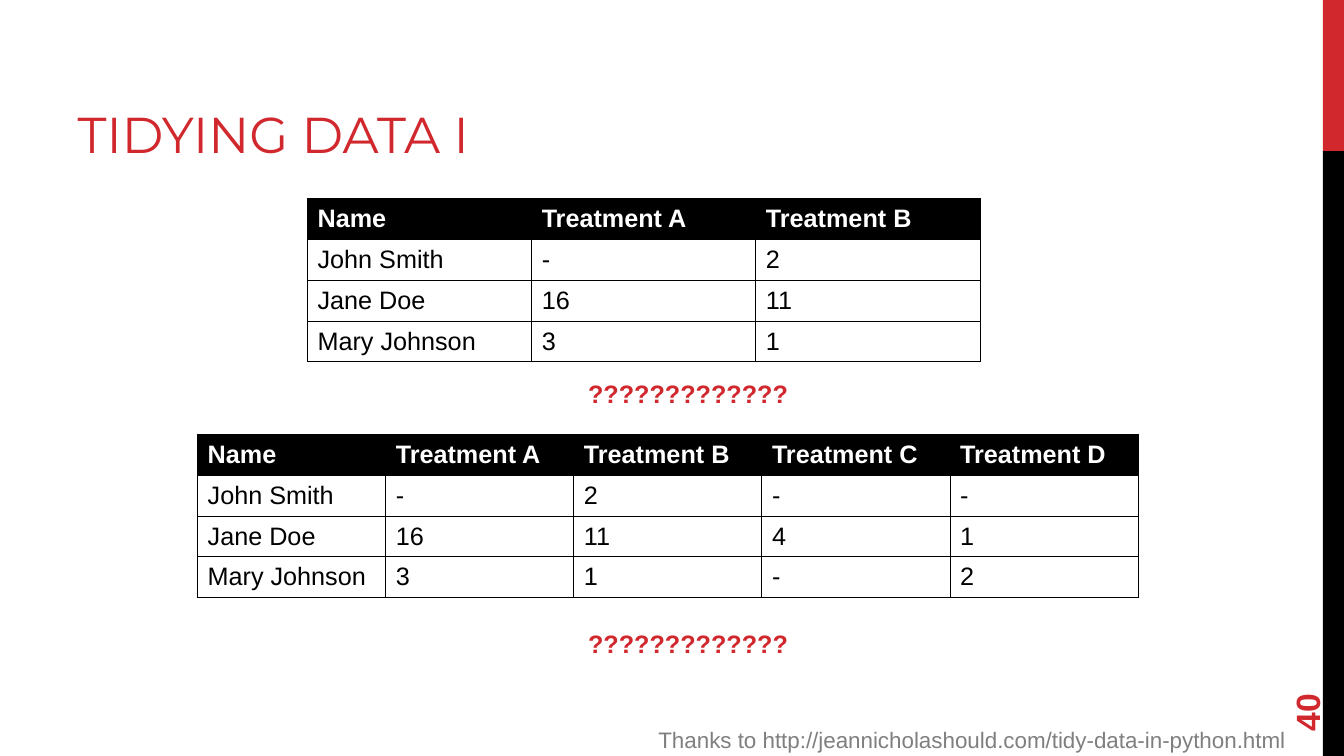
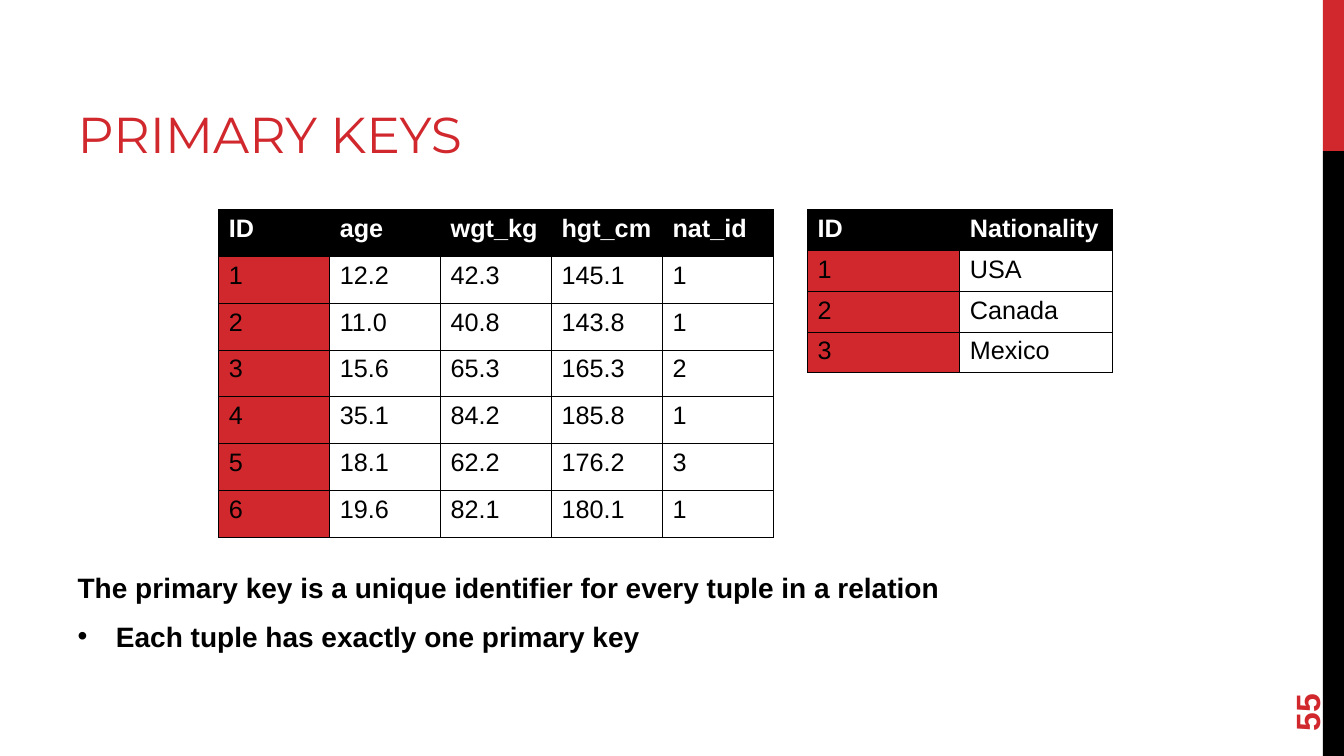
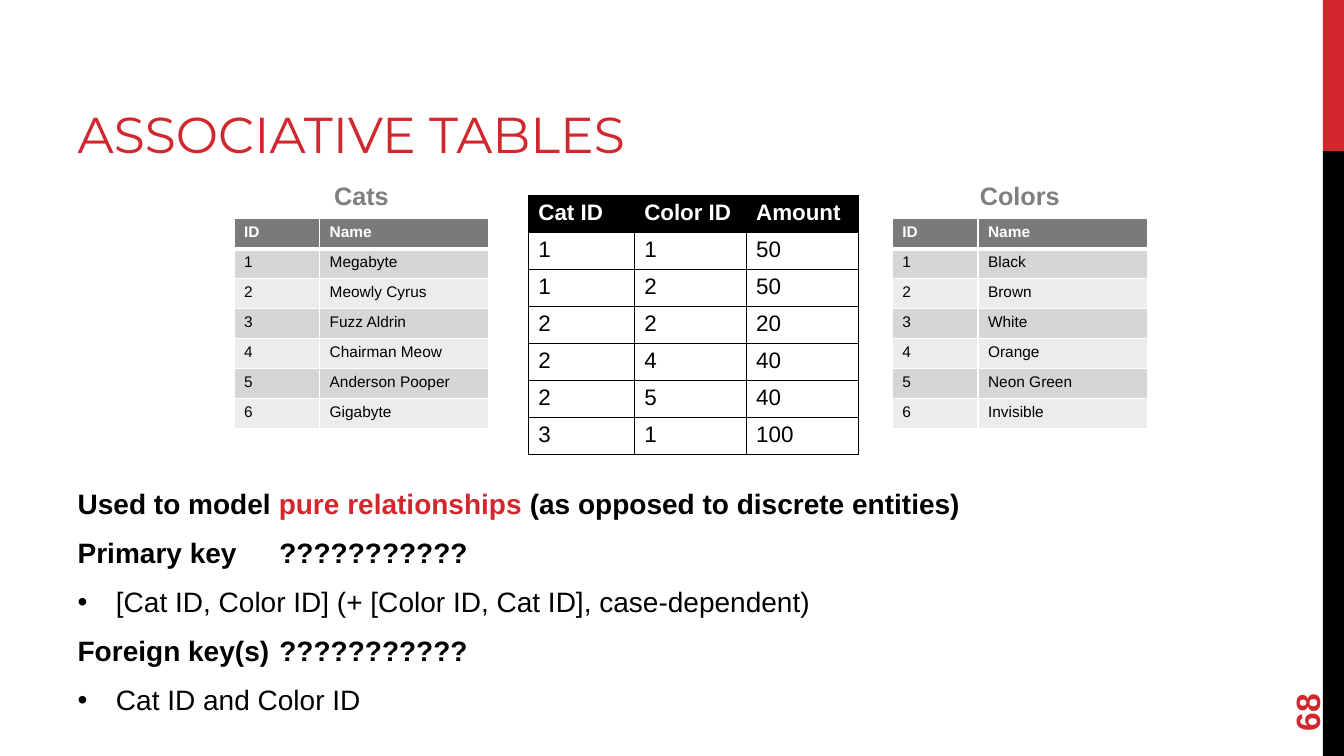
from dataclasses import dataclass

from lxml.etree import SubElement
from pptx import Presentation
from pptx.dml.color import RGBColor
from pptx.enum.shapes import MSO_SHAPE
from pptx.enum.text import MSO_ANCHOR, MSO_AUTO_SIZE, PP_ALIGN
from pptx.oxml.ns import qn
from pptx.slide import Slide
from pptx.util import Inches, Pt

RED, BLACK, WHITE, GRAY = "D1282E", "000000", "FFFFFF", "7F7F7F"
BODY_FONT, TITLE_FONT = "Arial", "Montserrat"
TITLE_ONLY, TITLE_AND_BODY = 5, 1


@dataclass(frozen=True)
class Box:
    left: float
    top: float
    width: float
    height: float

    def emu(self) -> tuple:
        return tuple(Inches(v) for v in (self.left, self.top, self.width, self.height))


@dataclass(frozen=True)
class TableStyle:
    header: str = BLACK
    bands: tuple = (None, None)
    key: str | None = None
    border: str = BLACK
    border_pt: float = 0.75
    rule_pt: float = 0.75
    size: int = 18
    anchor: MSO_ANCHOR = MSO_ANCHOR.TOP


@dataclass(frozen=True)
class Span:
    text: str
    bold: bool = True
    color: str = BLACK


@dataclass(frozen=True)
class Line:
    spans: tuple
    bullet: bool = False
    tab: float | None = None


TITLE_BOX = Box(0.67, 0.17, 8.44, 1.5)
NUMBER_BOX = Box(12.24, 6.37, 1.44, 0.53)
BANDS = ((Box(13.12, 0, 0.21, 1.5), RED), (Box(13.12, 1.5, 0.21, 6), BLACK))

CENTERED = TableStyle(anchor=MSO_ANCHOR.MIDDLE)
KEYED = TableStyle(key=RED)
LINKS = TableStyle(size=16)
LOOKUP = TableStyle("7A7A7A", ("D6D6D6", "ECECEC"), None, WHITE, 0.96, 3, 11)


def rgb(color: str) -> RGBColor:
    return RGBColor.from_string(color)


def style_run(r, size: float, color: str, bold: bool = False, name: str = BODY_FONT) -> None:
    r.font.size, r.font.bold, r.font.name = Pt(size), bold, name
    r.font.color.rgb = rgb(color)


def place(sp, box: Box) -> None:
    sp.left, sp.top, sp.width, sp.height = box.emu()


def add_slide(prs, layout: int, title: str, number: int) -> Slide:
    """Add a slide with the shared title, edge bands and page number."""
    s = prs.slides.add_slide(prs.slide_layouts[layout])
    place(s.shapes.title, TITLE_BOX)
    tf = s.shapes.title.text_frame
    tf.text = title
    tf.auto_size, tf.vertical_anchor = MSO_AUTO_SIZE.NONE, MSO_ANCHOR.BOTTOM
    p = tf.paragraphs[0]
    p.alignment = PP_ALIGN.LEFT
    style_run(p.runs[0], 36, RED, name=TITLE_FONT)
    for box, color in BANDS:
        sp = s.shapes.add_shape(MSO_SHAPE.RECTANGLE, *box.emu())
        sp.shadow.inherit = False
        sp.fill.solid()
        sp.fill.fore_color.rgb = rgb(color)
        sp.line.fill.background()
    sp = add_label(s, NUMBER_BOX, str(number), 24, RED, True, PP_ALIGN.LEFT)
    sp.rotation = 270
    sp.text_frame.auto_size = MSO_AUTO_SIZE.NONE
    sp.text_frame.vertical_anchor = MSO_ANCHOR.MIDDLE
    return s


def add_label(s: Slide, box: Box, text: str, size: float, color: str,
              bold: bool = True, align: PP_ALIGN = PP_ALIGN.CENTER):
    sp = s.shapes.add_textbox(*box.emu())
    tf = sp.text_frame
    tf.word_wrap, tf.auto_size = True, MSO_AUTO_SIZE.SHAPE_TO_FIT_TEXT
    tf.text = text
    p = tf.paragraphs[0]
    p.alignment = align
    style_run(p.runs[0], size, color, bold)
    return sp


def format_line(p, line: Line) -> None:
    """Set the indent, bullet and tab stop of a body paragraph."""
    pPr = p._p.get_or_add_pPr()
    indent = Inches(0.38) if line.bullet else 0
    pPr.set("marL", str(indent))
    pPr.set("indent", str(-indent))
    if line.bullet:
        SubElement(SubElement(pPr, qn("a:buClr")), qn("a:srgbClr"), val=BLACK)
        SubElement(pPr, qn("a:buFont"), typeface=BODY_FONT)
        SubElement(pPr, qn("a:buChar"), char="•")
    else:
        SubElement(pPr, qn("a:buNone"))
    if line.tab:
        tabs = SubElement(pPr, qn("a:tabLst"))
        SubElement(tabs, qn("a:tab"), pos=str(Inches(line.tab)), algn="l")


def fill_body(s: Slide, box: Box, lines: list[Line]) -> None:
    sp = s.placeholders[1]
    place(sp, box)
    tf = sp.text_frame
    tf.auto_size = MSO_AUTO_SIZE.NONE
    for i, line in enumerate(lines):
        p = tf.add_paragraph() if i else tf.paragraphs[0]
        format_line(p, line)
        p.space_before, p.space_after = Pt(10 if i else 0), Pt(1)
        for span in line.spans:
            r = p.add_run()
            r.text = span.text
            style_run(r, 20, span.color, span.bold)


def add_border(cell, side: str, color: str, width: float) -> None:
    ln = SubElement(cell._tc.get_or_add_tcPr(), qn(f"a:ln{side}"), w=str(Pt(width)))
    SubElement(SubElement(ln, qn("a:solidFill")), qn("a:srgbClr"), val=color)


def format_cell(cell, row: int, col: int, style: TableStyle) -> None:
    for side in "LRTB":
        under_header = (row, side) in ((0, "B"), (1, "T"))
        add_border(cell, side, style.border, style.rule_pt if under_header else style.border_pt)
    if row == 0:
        color = style.header
    elif col == 0 and style.key:
        color = style.key
    else:
        color = style.bands[(row - 1) % 2]
    if color:
        cell.fill.solid()
        cell.fill.fore_color.rgb = rgb(color)
    else:
        cell.fill.background()
    cell.vertical_anchor = style.anchor
    style_run(cell.text_frame.paragraphs[0].runs[0], style.size,
              BLACK if row else WHITE, row == 0)


def add_data_table(s: Slide, box: Box, rows: list[tuple], style: TableStyle,
                   widths: tuple = ()) -> None:
    """Draw a table whose first row is the header; columns are equal unless given."""
    n = len(rows[0])
    table = s.shapes.add_table(len(rows), n, *box.emu()).table
    table.first_row = table.horz_banding = False
    for column, width in zip(table.columns, widths or (box.width / n,) * n):
        column.width = Inches(width)
    for i, values in enumerate(rows):
        table.rows[i].height = Inches(box.height / len(rows))
        for j, value in enumerate(values):
            cell = table.cell(i, j)
            cell.text = value
            format_cell(cell, i, j, style)


def build_tidying(prs) -> None:
    s = add_slide(prs, TITLE_ONLY, "TIDYING DATA I", 40)
    wide = [
        ("Name", "Treatment A", "Treatment B", "Treatment C", "Treatment D"),
        ("John Smith", "-", "2", "-", "-"),
        ("Jane Doe", "16", "11", "4", "1"),
        ("Mary Johnson", "3", "1", "-", "2"),
    ]
    add_data_table(s, Box(3.05, 1.97, 6.67, 1.62), [row[:3] for row in wide], CENTERED)
    add_data_table(s, Box(1.96, 4.31, 9.33, 1.62), wide, CENTERED)
    for top in (3.7, 6.18):
        add_label(s, Box(5.03, top, 3.59, 0.4), "?????????????", 18, RED)
    add_label(s, Box(6.27, 7.15, 6.58, 0.36),
              "Thanks to http://jeannicholashould.com/tidy-data-in-python.html",
              16, GRAY, False, PP_ALIGN.RIGHT)


def build_primary_keys(prs) -> None:
    s = add_slide(prs, TITLE_AND_BODY, "PRIMARY KEYS", 55)
    people = [
        ("ID", "age", "wgt_kg", "hgt_cm", "nat_id"),
        ("1", "12.2", "42.3", "145.1", "1"),
        ("2", "11.0", "40.8", "143.8", "1"),
        ("3", "15.6", "65.3", "165.3", "2"),
        ("4", "35.1", "84.2", "185.8", "1"),
        ("5", "18.1", "62.2", "176.2", "3"),
        ("6", "19.6", "82.1", "180.1", "1"),
    ]
    nations = [("ID", "Nationality"), ("1", "USA"), ("2", "Canada"), ("3", "Mexico")]
    add_data_table(s, Box(2.17, 2.08, 5.5, 3.25), people, KEYED)
    add_data_table(s, Box(8.01, 2.08, 3.02, 1.62), nations, KEYED)
    fill_body(s, Box(0.67, 5.61, 11.11, 1.09), [
        Line((Span("The primary key is a unique identifier for every tuple in a relation"),)),
        Line((Span("Each tuple has exactly one primary key"),), bullet=True),
    ])


def build_associative(prs) -> None:
    s = add_slide(prs, TITLE_AND_BODY, "ASSOCIATIVE TABLES", 68)
    links = [
        ("Cat ID", "Color ID", "Amount"),
        ("1", "1", "50"),
        ("1", "2", "50"),
        ("2", "2", "20"),
        ("2", "4", "40"),
        ("2", "5", "40"),
        ("3", "1", "100"),
    ]
    lookups = (
        ("Cats", 2.32, ("Megabyte", "Meowly Cyrus", "Fuzz Aldrin",
                        "Chairman Meow", "Anderson Pooper", "Gigabyte")),
        ("Colors", 8.85, ("Black", "Brown", "White", "Orange", "Neon Green", "Invisible")),
    )
    add_data_table(s, Box(5.24, 1.94, 3.26, 2.57), links, LINKS, (1.05, 1.11, 1.11))
    for caption, left, names in lookups:
        rows = [("ID", "Name")] + [(str(i), name) for i, name in enumerate(names, 1)]
        add_data_table(s, Box(left, 2.17, 2.53, 2.08), rows, LOOKUP, (0.85, 1.68))
        add_label(s, Box(left, 1.74, 2.53, 0.4), caption, 18, GRAY)
    fill_body(s, Box(0.67, 4.78, 11.11, 2.43), [
        Line((Span("Used to model "), Span("pure relationships", color=RED),
              Span(" (as opposed to discrete entities)"))),
        Line((Span("Primary key\t???????????"),), tab=1.73),
        Line((Span("[Cat ID, Color ID] (+ [Color ID, Cat ID], case-dependent)", False),),
             bullet=True),
        Line((Span("Foreign key(s)\t???????????"),), tab=2.13),
        Line((Span("Cat ID and Color ID", False),), bullet=True),
    ])


def main() -> None:
    prs = Presentation()
    prs.slide_width, prs.slide_height = Inches(13.33), Inches(7.5)
    for build in (build_tidying, build_primary_keys, build_associative):
        build(prs)
    prs.save("out.pptx")


if __name__ == "__main__":
    main()
